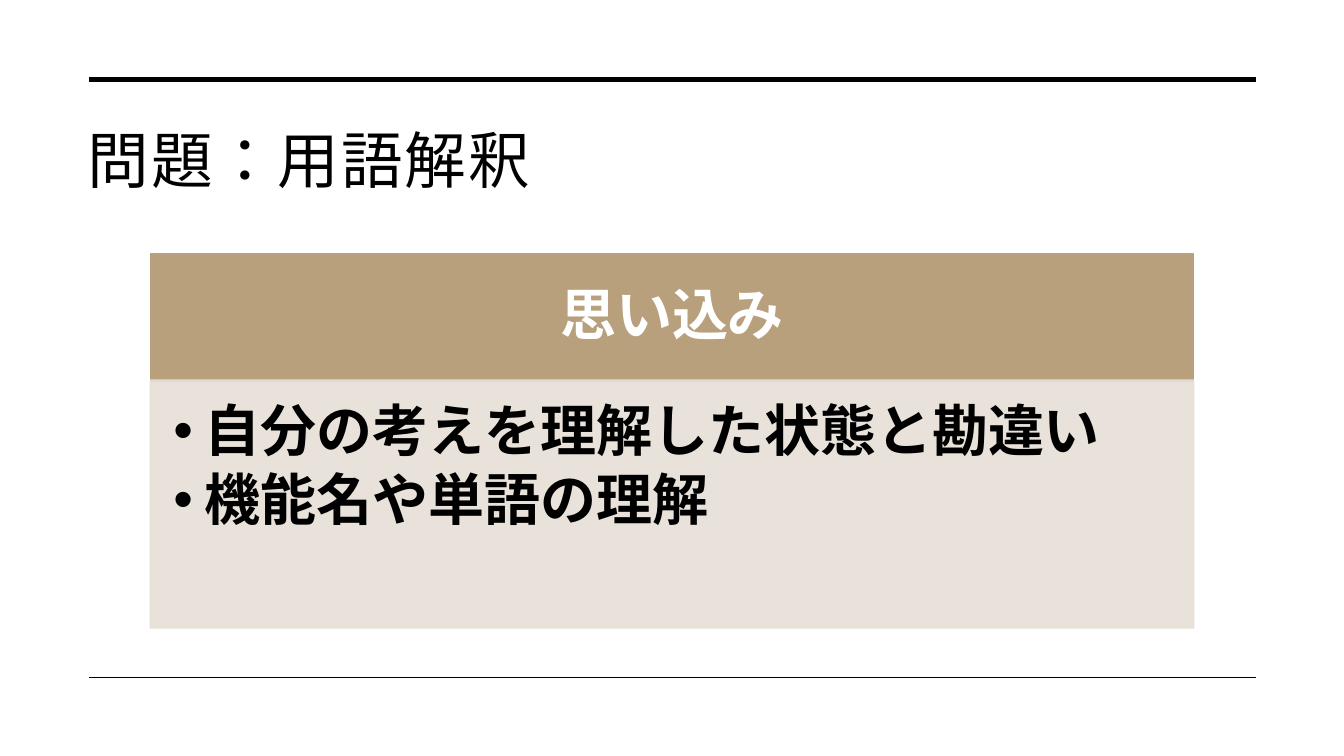
from dataclasses import dataclass

from lxml import etree
from pptx import Presentation
from pptx.dml.color import RGBColor
from pptx.enum.shapes import MSO_CONNECTOR as Connector, MSO_SHAPE as Shape
from pptx.enum.text import MSO_ANCHOR as Anchor, MSO_AUTO_SIZE as AutoSize, PP_ALIGN as Align
from pptx.oxml.ns import qn
from pptx.util import Inches, Pt

COLORS = {"ink": "000000", "white": "FFFFFF", "tan": "B8A07C", "sand": "E6DFD7"}
RULE_LEFT, RULE_RIGHT = 0.88, 12.46
PANEL_LEFT, PANEL_WIDTH = 1.49, 10.35
BULLET_INDENT = Inches(0.31)


@dataclass(frozen=True)
class Rule:
    top: float
    weight: float


@dataclass(frozen=True)
class Panel:
    top: float
    height: float
    fill: str
    text_color: str
    lines: tuple[str, ...]
    insets: tuple[float, float, float, float]
    anchor: Anchor
    align: Align
    space_after: int
    opacity: int = 100
    bulleted: bool = False


RULES = (Rule(0.79, 3.5), Rule(6.72, 1))
PANELS = (
    Panel(2.52, 1.26, "tan", "white", ("思い込み",), (0.31, 0.18, 0.31, 0.18),
          Anchor.MIDDLE, Align.CENTER, 35),
    Panel(3.77, 2.46, "sand", "ink", ("自分の考えを理解した状態と勘違い", "機能名や単語の理解"),
          (0.23, 0.23, 0.31, 0.35), Anchor.TOP, Align.LEFT, 15, opacity=90, bulleted=True),
)


def rgb(name: str) -> RGBColor:
    return RGBColor.from_string(COLORS[name])


def apply_format(target, values: dict) -> None:
    for name, value in values.items():
        setattr(target, name, value)


def format_frame(frame, insets: tuple[float, ...], anchor: Anchor) -> None:
    sides = ("margin_left", "margin_top", "margin_right", "margin_bottom")
    apply_format(frame, dict(zip(sides, map(Inches, insets))))
    apply_format(frame, {"word_wrap": True, "auto_size": AutoSize.NONE, "vertical_anchor": anchor})


def add_run(paragraph, text: str, typeface: str, size: float, color: str, bold: bool):
    run = paragraph.add_run()
    run.text = text
    apply_format(run.font, {"name": typeface, "size": Pt(size), "bold": bold})
    run.font.color.rgb = rgb(color)
    properties = run.font._element
    properties.set("lang", "ja-JP")
    etree.SubElement(properties, qn("a:ea"), typeface=typeface)
    return run


def add_rule(slide, rule: Rule) -> None:
    line = slide.shapes.add_connector(Connector.STRAIGHT, Inches(RULE_LEFT), Inches(rule.top),
                                      Inches(RULE_RIGHT), Inches(rule.top))
    line.line.color.rgb = rgb("ink")
    line.line.width = Pt(rule.weight)
    etree.SubElement(line._element.spPr, qn("a:effectLst"))


def add_title(slide, text: str) -> None:
    title = slide.shapes.title
    apply_format(title, {"left": Inches(0.75), "top": Inches(1.02),
                         "width": Inches(11.64), "height": Inches(0.83)})
    format_frame(title.text_frame, (0.12, 0.12, 0.12, 0.1), Anchor.TOP)
    paragraph = title.text_frame.paragraphs[0]
    apply_format(paragraph, {"alignment": Align.LEFT, "line_spacing": 1.1})
    run = add_run(paragraph, text, "Noto Sans CJK JP", 44, "ink", False)
    run.font._element.set("spc", "130")


def add_panel(slide, panel: Panel) -> None:
    shape = slide.shapes.add_shape(Shape.RECTANGLE, Inches(PANEL_LEFT), Inches(panel.top),
                                   Inches(PANEL_WIDTH), Inches(panel.height))
    shape.shadow.inherit = False
    shape.fill.solid()
    shape.line.width = Pt(1)
    for fill in (shape.fill, shape.line.fill):
        fill.solid()
        fill.fore_color.rgb = rgb(panel.fill)
    if panel.opacity < 100:
        for color in shape._element.spPr.iter(qn("a:srgbClr")):
            etree.SubElement(color, qn("a:alpha"), val=str(panel.opacity * 1000))
    frame = shape.text_frame
    format_frame(frame, panel.insets, panel.anchor)
    for index, text in enumerate(panel.lines):
        paragraph = frame.add_paragraph() if index else frame.paragraphs[0]
        apply_format(paragraph, {"alignment": panel.align, "line_spacing": 0.9})
        properties = paragraph._p.get_or_add_pPr()
        spacing = etree.SubElement(properties, qn("a:spcAft"))
        etree.SubElement(spacing, qn("a:spcPct"), val=str(panel.space_after * 1000))
        if panel.bulleted:
            properties.set("lvl", "1")
            properties.set("marL", str(BULLET_INDENT))
            properties.set("indent", str(-BULLET_INDENT))
            etree.SubElement(properties, qn("a:buFont"), typeface="Arial")
            etree.SubElement(properties, qn("a:buChar"), char="•")
        add_run(paragraph, text, "Arial", 40, panel.text_color, True)


def main() -> None:
    """Build the terminology slide."""
    presentation = Presentation()
    presentation.slide_width = Inches(13.33)
    presentation.slide_height = Inches(7.5)
    slide = presentation.slides.add_slide(presentation.slide_layouts.get_by_name("Title Only"))
    slide.background.fill.solid()
    slide.background.fill.fore_color.rgb = rgb("white")
    for rule in RULES:
        add_rule(slide, rule)
    add_title(slide, "問題：用語解釈")
    for panel in PANELS:
        add_panel(slide, panel)
    presentation.save("out.pptx")


if __name__ == "__main__":
    main()
